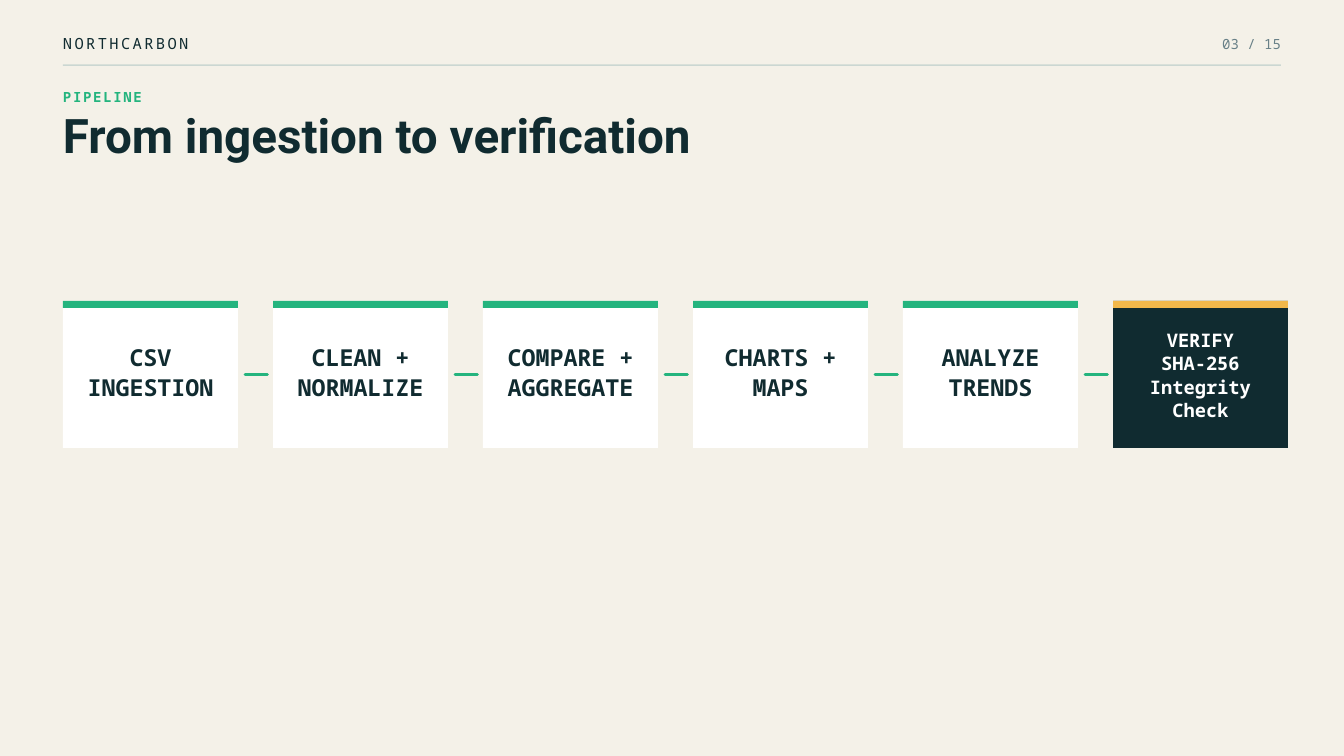
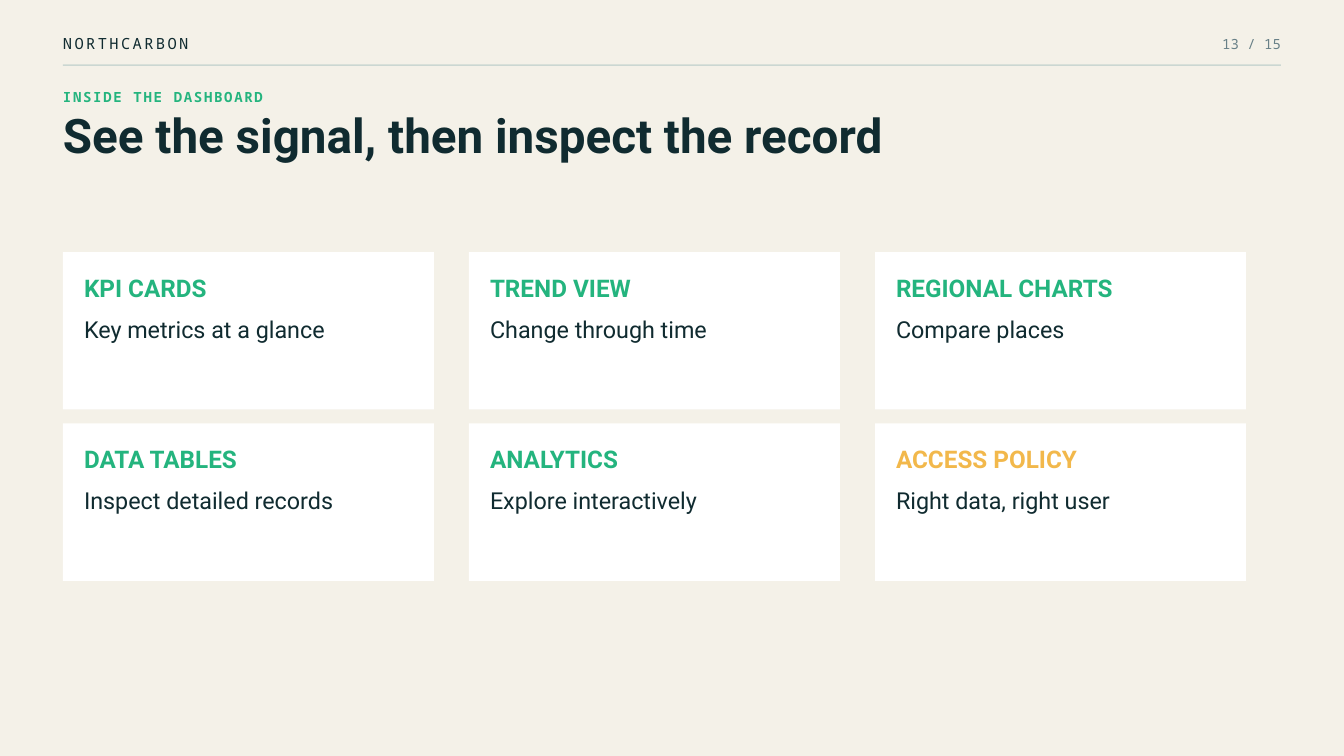
import pptx
import pptx.util
import pptx.dml.color
import pptx.enum.shapes
import pptx.enum.text
import pptx.oxml
import pptx.oxml.ns

Pt = pptx.util.Pt
RGBColor = pptx.dml.color.RGBColor
ALIGN = pptx.enum.text.PP_ALIGN
SHAPE = pptx.enum.shapes.MSO_SHAPE.RECTANGLE
LINE = pptx.enum.shapes.MSO_CONNECTOR.STRAIGHT

CREAM = RGBColor(0xF4, 0xF1, 0xE8)
INK = RGBColor(0x10, 0x2B, 0x30)
GREY = RGBColor(0x68, 0x80, 0x87)
RULE = RGBColor(0xCB, 0xD7, 0xD2)
GREEN = RGBColor(0x24, 0xB4, 0x7E)
AMBER = RGBColor(0xF2, 0xB8, 0x4B)
WHITE = RGBColor(0xFF, 0xFF, 0xFF)

MONO = "Noto Sans Mono"
SANS = "Roboto"
WIDE, HIGH = 1440, 810
EDGE = 67.5

STEPS = [
    ["CSV", "INGESTION"],
    ["CLEAN +", "NORMALIZE"],
    ["COMPARE +", "AGGREGATE"],
    ["CHARTS +", "MAPS"],
    ["ANALYZE TRENDS"],
    ["VERIFY", "SHA-256 Integrity Check"],
]
VIEWS = [
    ("KPI CARDS", "Key metrics at a glance"),
    ("TREND VIEW", "Change through time"),
    ("REGIONAL CHARTS", "Compare places"),
    ("DATA TABLES", "Inspect detailed records"),
    ("ANALYTICS", "Explore interactively"),
    ("ACCESS POLICY", "Right data, right user"),
]


def place(shape, box):
    shape.left, shape.top, shape.width, shape.height = map(Pt, box)


def write(shape, lines, font, size, color, lead, bold=False, align=ALIGN.LEFT, track=0):
    """Fill a shape with one paragraph per line; lead and track are in points."""
    frame = shape.text_frame
    frame.word_wrap = True
    frame.auto_size = pptx.enum.text.MSO_AUTO_SIZE.SHAPE_TO_FIT_TEXT
    frame.vertical_anchor = pptx.enum.text.MSO_ANCHOR.TOP
    frame.margin_left = frame.margin_right = 0
    frame.margin_top = frame.margin_bottom = 0
    for i, line in enumerate(lines):
        para = frame.add_paragraph() if i else frame.paragraphs[0]
        para.alignment = align
        para.line_spacing = Pt(lead)
        para.space_before = Pt(0)
        run = para.add_run()
        run.text = line
        run.font.name = font
        run.font.size = Pt(size)
        run.font.bold = bold
        run.font.color.rgb = color
        if track:
            run.font._element.set("spc", str(round(track * 100)))


def label(slide, box, *args, **style):
    write(slide.shapes.add_textbox(*map(Pt, box)), *args, **style)


def block(slide, box, color):
    shape = slide.shapes.add_shape(SHAPE, *map(Pt, box))
    shape.shadow.inherit = False
    shape.fill.solid()
    shape.fill.fore_color.rgb = color
    shape.line.fill.background()


def dash(slide, left, right, y):
    link = slide.shapes.add_connector(LINE, Pt(left), Pt(y), Pt(right), Pt(y))
    link.line.color.rgb = GREEN
    link.line.width = Pt(3)
    link.line._get_or_add_ln().set("cap", "rnd")
    props = link._element.spPr
    props.append(pptx.oxml.parse_xml(f"<a:effectLst {pptx.oxml.ns.nsdecls('a')}/>"))


def start(deck, page, topic, title):
    """Add a slide with the shared background, header and title."""
    slide = deck.slides.add_slide(deck.slide_layouts[5])
    slide.background.fill.solid()
    slide.background.fill.fore_color.rgb = CREAM
    label(slide, (EDGE, 35.25, 225, 20.25), ["NORTHCARBON"], MONO, 16.5, INK, 20.6, track=2.6)
    label(slide, (1237.5, 37.5, 135, 18), [page], MONO, 15, GREY, 18.8, align=ALIGN.RIGHT)
    block(slide, (EDGE, 69, WIDE - 2 * EDGE, 1.5), RULE)
    label(slide, (EDGE, 94.5, 487.5, 18), [topic], MONO, 15, GREEN, 18.8, bold=True, track=1.8)
    head = slide.shapes.title
    place(head, (EDGE, 123, 1125, 62.5))
    write(head, [title], SANS, 51, INK, 52, bold=True)
    return slide


def step(slide, box, lines, last):
    left, top, width, height = box
    block(slide, box, INK if last else WHITE)
    block(slide, (left, top, width, 7.5), AMBER if last else GREEN)
    drop, size, lead, color = (29, 20, 25, WHITE) if last else (44.5, 25, 31.2, INK)
    text = (left + 16.5, top + drop, width - 33, lead * (4 if last else 2))
    label(slide, text, lines, MONO, size, color, lead, bold=True, align=ALIGN.CENTER)


def flow(slide, box, gap):
    """Lay the steps in a row, with a dash in each gap."""
    left, top, width, height = box
    wide = (width + gap) / len(STEPS) - gap
    for i, lines in enumerate(STEPS):
        x = left + i * (wide + gap)
        last = i == len(STEPS) - 1
        step(slide, (x, top, wide, height), lines, last)
        if not last:
            end = x + wide
            dash(slide, end + 7.5, end + gap - 6, top + height / 2)


def card(slide, box, name, note, color):
    left, top, width, height = box
    block(slide, box, WHITE)
    inner = width - 45
    label(slide, (left + 22.5, top + 18.75, inner, 33), [name], SANS, 26, color, 35.1, bold=True)
    label(slide, (left + 22.5, top + 63.5, inner, 31.5), [note], SANS, 25, INK, 33.7)


def grid(slide, box, cols, rows, gap_x, gap_y):
    left, top, width, height = box
    wide = (width + gap_x) / cols - gap_x
    high = (height + gap_y) / rows - gap_y
    for i, (name, note) in enumerate(VIEWS):
        row, col = divmod(i, cols)
        spot = (left + col * (wide + gap_x), top + row * (high + gap_y), wide, high)
        card(slide, spot, name, note, AMBER if i == len(VIEWS) - 1 else GREEN)


def main():
    deck = pptx.Presentation()
    deck.slide_width, deck.slide_height = Pt(WIDE), Pt(HIGH)
    slide = start(deck, "03 / 15", "PIPELINE", "From ingestion to verification")
    flow(slide, (EDGE, 322.5, 1312.5, 157.5), 37.5)
    slide = start(deck, "13 / 15", "INSIDE THE DASHBOARD", "See the signal, then inspect the record")
    grid(slide, (EDGE, 270, 1267.5, 352.5), 3, 2, 37.5, 15)
    deck.save("out.pptx")


if __name__ == "__main__":
    main()
